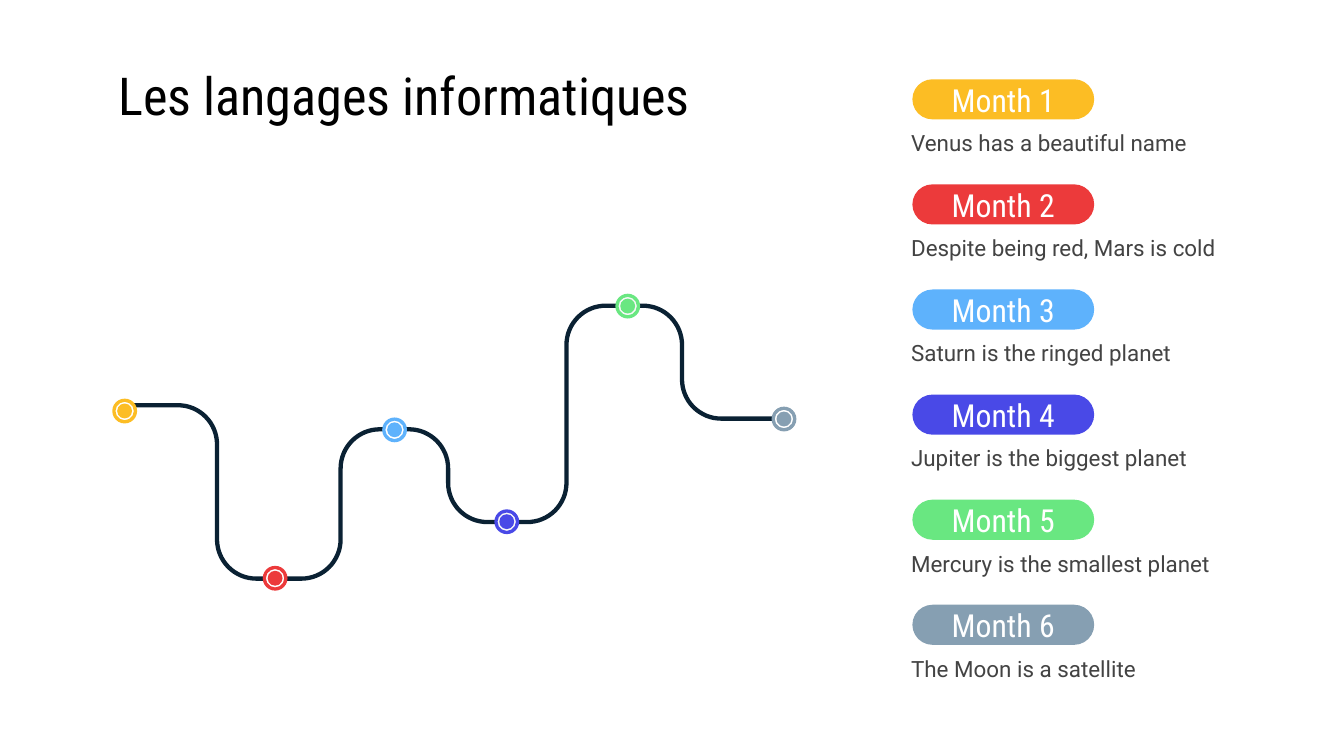
from math import cos, pi, sin

from pptx import Presentation
from pptx.dml.color import RGBColor
from pptx.enum.shapes import MSO_SHAPE as Shape
from pptx.enum.text import MSO_ANCHOR as Anchor, MSO_AUTO_SIZE as AutoSize, PP_ALIGN as Align
from pptx.util import Pt

BLACK = RGBColor(0x00, 0x00, 0x00)
WHITE = RGBColor(0xFF, 0xFF, 0xFF)
OFF_WHITE = RGBColor(0xF7, 0xF7, 0xF7)
GREY = RGBColor(0x43, 0x43, 0x43)
NAVY = RGBColor(0x0A, 0x21, 0x33)
YELLOW = RGBColor(0xFC, 0xBD, 0x24)
RED = RGBColor(0xEC, 0x3A, 0x3B)
SKY = RGBColor(0x5E, 0xB2, 0xFC)
INDIGO = RGBColor(0x49, 0x49, 0xE7)
GREEN = RGBColor(0x69, 0xE7, 0x81)
SLATE = RGBColor(0x86, 0x9F, 0xB2)

# caption, colour, stop centre on the road, halo colour
MONTHS = [
    ("Venus has a beautiful name", YELLOW, (66.8, 220.2), WHITE),
    ("Despite being red, Mars is cold", RED, (147.4, 309.8), WHITE),
    ("Saturn is the ringed planet", SKY, (211.4, 230.3), WHITE),
    ("Jupiter is the biggest planet", INDIGO, (271.5, 279.5), OFF_WHITE),
    ("Mercury is the smallest planet", GREEN, (336.3, 164), OFF_WHITE),
    ("The Moon is a satellite", SLATE, (420, 224.5), WHITE),
]
ROAD_LEVELS = [217.1, 310, 230, 279.7, 163.8, 224.3]
ROAD_DROPS = [116.3, 182.5, 240.1, 303.5, 365.4]
ROAD_START, ROAD_END = 68, 420
LEGEND_TOP, LEGEND_STEP = 42.5, 56.3


def round_corner(before, corner, after, radius, steps=16):
    """Points of the quarter circle that replaces a right-angled corner."""
    def toward(point):
        dx, dy = point[0] - corner[0], point[1] - corner[1]
        length = abs(dx) + abs(dy)
        return dx / length, dy / length

    back, ahead = toward(before), toward(after)
    angles = [pi / 2 * step / steps for step in range(steps + 1)]
    return [
        tuple(corner[axis] + radius * (back[axis] * (1 - sin(a)) + ahead[axis] * (1 - cos(a)))
              for axis in (0, 1))
        for a in angles
    ]


class RoadmapSlide:
    heading_font = "Roboto Condensed"
    body_font = "Roboto"
    inset = Pt(7.2)

    def __init__(self, deck):
        self.slide = deck.slides.add_slide(deck.slide_layouts[5])

    def set_text(self, shape, text, size, font, color, anchor, align=Align.LEFT):
        frame = shape.text_frame
        frame.text = text
        frame.word_wrap = True
        frame.auto_size = AutoSize.NONE
        frame.vertical_anchor = anchor
        frame.margin_left = frame.margin_right = self.inset
        frame.margin_top = frame.margin_bottom = self.inset
        paragraph = frame.paragraphs[0]
        paragraph.alignment = align
        paragraph.font.size = Pt(size)
        paragraph.font.name = font
        paragraph.font.color.rgb = color

    def title(self, text, left, top, width, height):
        heading = self.slide.shapes.title
        heading.left, heading.top = Pt(left), Pt(top)
        heading.width, heading.height = Pt(width), Pt(height)
        self.set_text(heading, text, 28, self.heading_font, BLACK, Anchor.MIDDLE)

    def filled(self, group, preset, left, top, width, height, color):
        shape = group.shapes.add_shape(preset, Pt(left), Pt(top), Pt(width), Pt(height))
        shape.shadow.inherit = False
        shape.fill.solid()
        shape.fill.fore_color.rgb = color
        shape.line.fill.background()
        return shape

    def road(self, corners, radius):
        points = [corners[0]]
        for before, corner, after in zip(corners, corners[1:], corners[2:]):
            points += round_corner(before, corner, after, radius)
        points.append(corners[-1])
        start, *rest = [(Pt(x), Pt(y)) for x, y in points]
        builder = self.slide.shapes.build_freeform(*start)
        builder.add_line_segments(rest, close=False)
        road = builder.convert_to_shape()
        road.shadow.inherit = False
        road.fill.background()
        road.line.color.rgb = NAVY
        road.line.width = Pt(2.3)

    def stop(self, center, color, halo_color):
        group = self.slide.shapes.add_group_shape()
        x, y = center
        for preset, size, fill in ((Shape.OVAL, 11.7, halo_color),
                                   (Shape.DONUT, 13.3, color),
                                   (Shape.OVAL, 8, color)):
            disc = self.filled(group, preset, x - size / 2, y - size / 2, size, size, fill)
            if preset == Shape.DONUT:
                disc.adjustments[0] = 0.13

    def legend_entry(self, top, label, caption, color):
        group = self.slide.shapes.add_group_shape()
        note = group.shapes.add_textbox(Pt(481), Pt(top + 19.6), Pt(183.6), Pt(28))
        self.set_text(note, caption, 12, self.body_font, GREY, Anchor.TOP)
        pill = self.filled(group, Shape.ROUNDED_RECTANGLE, 488.8, top, 97.4, 21.5, color)
        pill.adjustments[0] = 0.5
        self.set_text(pill, label, 17, self.heading_font, WHITE, Anchor.MIDDLE, Align.CENTER)


def main():
    deck = Presentation()
    deck.slide_width, deck.slide_height = Pt(720), Pt(405)
    roadmap = RoadmapSlide(deck)
    roadmap.title("Les langages informatiques", 56.2, 42.5, 355, 16.6)

    corners = [(ROAD_START, ROAD_LEVELS[0])]
    for x, level, next_level in zip(ROAD_DROPS, ROAD_LEVELS, ROAD_LEVELS[1:]):
        corners += [(x, level), (x, next_level)]
    corners.append((ROAD_END, ROAD_LEVELS[-1]))
    roadmap.road(corners, radius=21)

    for index, (caption, color, center, halo_color) in enumerate(MONTHS):
        roadmap.stop(center, color, halo_color)
        roadmap.legend_entry(LEGEND_TOP + index * LEGEND_STEP, f"Month {index + 1}", caption, color)
    deck.save("out.pptx")


if __name__ == "__main__":
    main()
